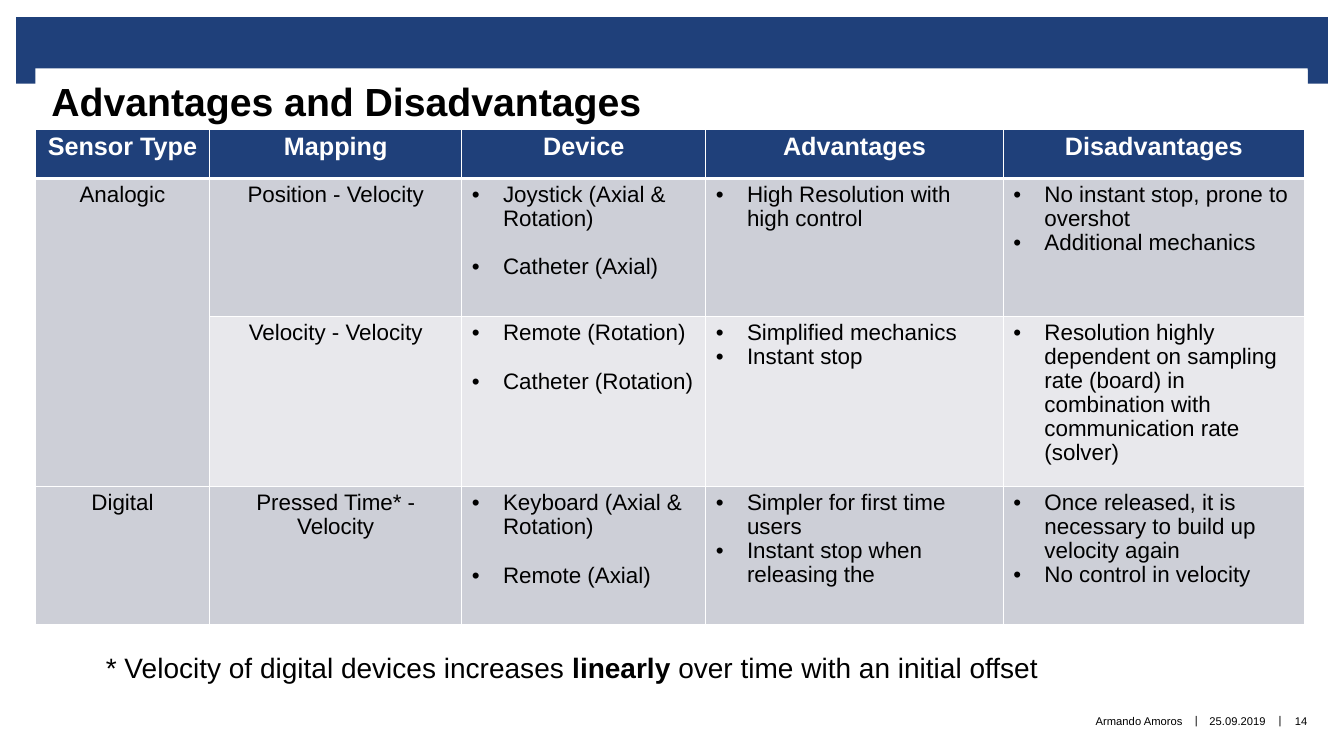
"""Build the slide comparing advantages and disadvantages of sensor types."""
from dataclasses import dataclass

from lxml import etree
from pptx import Presentation
from pptx.dml.color import RGBColor
from pptx.enum import shapes, text
from pptx.oxml.ns import qn
from pptx.util import Inches, Pt

ALIGN = text.PP_ALIGN
ANCHOR = text.MSO_ANCHOR


@dataclass(frozen=True)
class Theme:
    font: str = "Arial"
    blue: str = "1F407A"
    white: str = "FFFFFF"
    black: str = "000000"
    band_dark: str = "CDCFD7"
    band_light: str = "E8E8EC"
    title_size: int = 28
    note_size: int = 20
    header_size: int = 18
    cell_size: int = 16
    footer_size: int = 8


@dataclass(frozen=True)
class Frame:
    left: float
    top: float
    width: float
    height: float

    def lengths(self) -> tuple:
        return tuple(Inches(side) for side in (self.left, self.top, self.width, self.height))


@dataclass(frozen=True)
class FooterPart:
    words: str
    frame: Frame
    align: ALIGN = ALIGN.CENTER


@dataclass(frozen=True)
class SensorRow:
    sensor: str
    mapping: str
    devices: tuple
    advantages: tuple
    disadvantages: tuple
    fill: str


THEME = Theme()
BANNER = (
    Frame(0.16, 0.17, 13.01, 0.52),
    Frame(0.16, 0.65, 0.2, 0.18),
    Frame(12.97, 0.65, 0.2, 0.18),
)
FOOTER = (
    FooterPart("Armando Amoros", Frame(6.66, 6.9, 5.07, 0.5), ALIGN.RIGHT),
    FooterPart("|", Frame(11.79, 6.89, 0.15, 0.51)),
    FooterPart("25.09.2019", Frame(11.94, 6.9, 0.67, 0.51)),
    FooterPart("|", Frame(12.62, 6.89, 0.15, 0.51)),
    FooterPart("14", Frame(12.71, 6.9, 0.39, 0.51)),
)
HEADERS = ("Sensor Type", "Mapping", "Device", "Advantages", "Disadvantages")
COLUMN_WIDTHS = (1.73, 2.5, 2.42, 2.95, 2.99)
ROW_HEIGHTS = (0.49, 1.37, 1.69, 1.37)
ROWS = (
    SensorRow(
        "Analogic", "Position - Velocity",
        ("Joystick (Axial & Rotation)", "Catheter (Axial)"),
        ("High Resolution with high control",),
        ("No instant stop, prone to overshot", "Additional mechanics"),
        THEME.band_dark,
    ),
    SensorRow(
        "", "Velocity - Velocity",
        ("Remote (Rotation)", "Catheter (Rotation)"),
        ("Simplified mechanics", "Instant stop"),
        ("Resolution highly dependent on sampling rate (board) in combination "
         "with communication rate (solver)",),
        THEME.band_light,
    ),
    SensorRow(
        "Digital", "Pressed Time* - Velocity",
        ("Keyboard (Axial & Rotation)", "Remote (Axial)"),
        ("Simpler for first time users", "Instant stop when releasing the"),
        ("Once released, it is necessary to build up velocity again",
         "No control in velocity"),
        THEME.band_dark,
    ),
)


def add_span(para, words: str, *, size: float, color: str = THEME.black,
             bold: bool = False) -> None:
    """Append a formatted run to a paragraph."""
    span = para.add_run()
    span.text = words
    span.font.name = THEME.font
    span.font.size = Pt(size)
    span.font.bold = bold
    span.font.color.rgb = RGBColor.from_string(color)


def set_frame(box, insets: tuple, *, anchor: ANCHOR = ANCHOR.TOP, wrap: bool = True):
    """Set margins, anchor and wrapping, and return the first paragraph."""
    frame = box.text_frame
    frame.margin_left, frame.margin_top, frame.margin_right, frame.margin_bottom = (
        Inches(inset) for inset in insets)
    frame.vertical_anchor = anchor
    frame.word_wrap = wrap
    return frame.paragraphs[0]


def add_block(page, frame: Frame, color: str):
    """Draw a plain filled rectangle."""
    block = page.shapes.add_shape(shapes.MSO_SHAPE.RECTANGLE, *frame.lengths())
    block.shadow.inherit = False
    block.fill.solid()
    block.fill.fore_color.rgb = RGBColor.from_string(color)
    block.line.fill.background()
    return block


def style_cell(cell, fill: str, bottom: float = 1) -> None:
    """Give a cell its white borders and its fill."""
    properties = cell._tc.get_or_add_tcPr()
    for side, width in (("L", 1), ("R", 1), ("T", 1), ("B", bottom)):
        edge = etree.SubElement(properties, qn(f"a:ln{side}"), w=str(Pt(width)))
        paint = etree.SubElement(edge, qn("a:solidFill"))
        etree.SubElement(paint, qn("a:srgbClr"), val=THEME.white)
    cell.fill.solid()
    cell.fill.fore_color.rgb = RGBColor.from_string(fill)


def write_label(cell, words: str, **style) -> None:
    """Write one centred line of text in a cell."""
    para = cell.text_frame.paragraphs[0]
    para.alignment = ALIGN.CENTER
    para.line_spacing = 0.96
    add_span(para, words, **style)


def write_bullets(cell, items: tuple, gap: float = 0) -> None:
    """Write a bulleted list in a cell, with a gap between its items."""
    frame = cell.text_frame
    for index, item in enumerate(items):
        para = frame.add_paragraph() if index else frame.paragraphs[0]
        properties = para._p.get_or_add_pPr()
        properties.set("marL", str(Inches(0.31)))
        properties.set("indent", str(-Inches(0.31)))
        etree.SubElement(properties, qn("a:buFont"), typeface=THEME.font)
        etree.SubElement(properties, qn("a:buChar"), char="•")
        para.line_spacing = 0.96
        if index and gap:
            para.space_before = Pt(gap)
        add_span(para, item, size=THEME.cell_size)


def add_sensor_table(page) -> None:
    """Draw the table of sensor types."""
    frame = Frame(0.35, 1.28, sum(COLUMN_WIDTHS), sum(ROW_HEIGHTS))
    table = page.shapes.add_table(len(ROW_HEIGHTS), len(HEADERS), *frame.lengths()).table
    for column, width in zip(table.columns, COLUMN_WIDTHS):
        column.width = Inches(width)
    for row, height in zip(table.rows, ROW_HEIGHTS):
        row.height = Inches(height)
    for index, words in enumerate(HEADERS):
        write_label(table.cell(0, index), words, size=THEME.header_size,
                    color=THEME.white, bold=True)
        style_cell(table.cell(0, index), THEME.blue, bottom=3)
    for number, entry in enumerate(ROWS, start=1):
        cells = [table.cell(number, index) for index in range(len(HEADERS))]
        if entry.sensor:
            write_label(cells[0], entry.sensor, size=THEME.cell_size)
        write_label(cells[1], entry.mapping, size=THEME.cell_size)
        write_bullets(cells[2], entry.devices, gap=17.6)
        write_bullets(cells[3], entry.advantages)
        write_bullets(cells[4], entry.disadvantages)
        for cell in cells:
            style_cell(cell, entry.fill)
    table.cell(1, 0).merge(table.cell(2, 0))


def main() -> None:
    """Build and save the deck."""
    deck = Presentation()
    deck.slide_width, deck.slide_height = Inches(13.33), Inches(7.5)
    page = deck.slides.add_slide(deck.slide_layouts[6])
    for frame in BANNER:
        add_block(page, frame, THEME.blue)
    for part in FOOTER:
        box = page.shapes.add_textbox(*part.frame.lengths())
        para = set_frame(box, (0, 0, 0, 0), anchor=ANCHOR.MIDDLE, wrap=False)
        para.alignment = part.align
        add_span(para, part.words, size=THEME.footer_size)
    note = page.shapes.add_textbox(*Frame(0.9, 6.42, 10.83, 0.58).lengths())
    para = set_frame(note, (0.15, 0.03, 0.16, 0))
    add_span(para, "* Velocity of digital devices increases ", size=THEME.note_size)
    add_span(para, "linearly", size=THEME.note_size, bold=True)
    add_span(para, " over time with an initial offset", size=THEME.note_size)
    title = add_block(page, Frame(0.35, 0.68, 12.62, 1.06), THEME.white)
    para = set_frame(title, (0.16, 0.09, 0.16, 0))
    para.alignment = ALIGN.LEFT
    add_span(para, "Advantages and Disadvantages", size=THEME.title_size, bold=True)
    add_sensor_table(page)
    deck.save("out.pptx")


if __name__ == "__main__":
    main()
